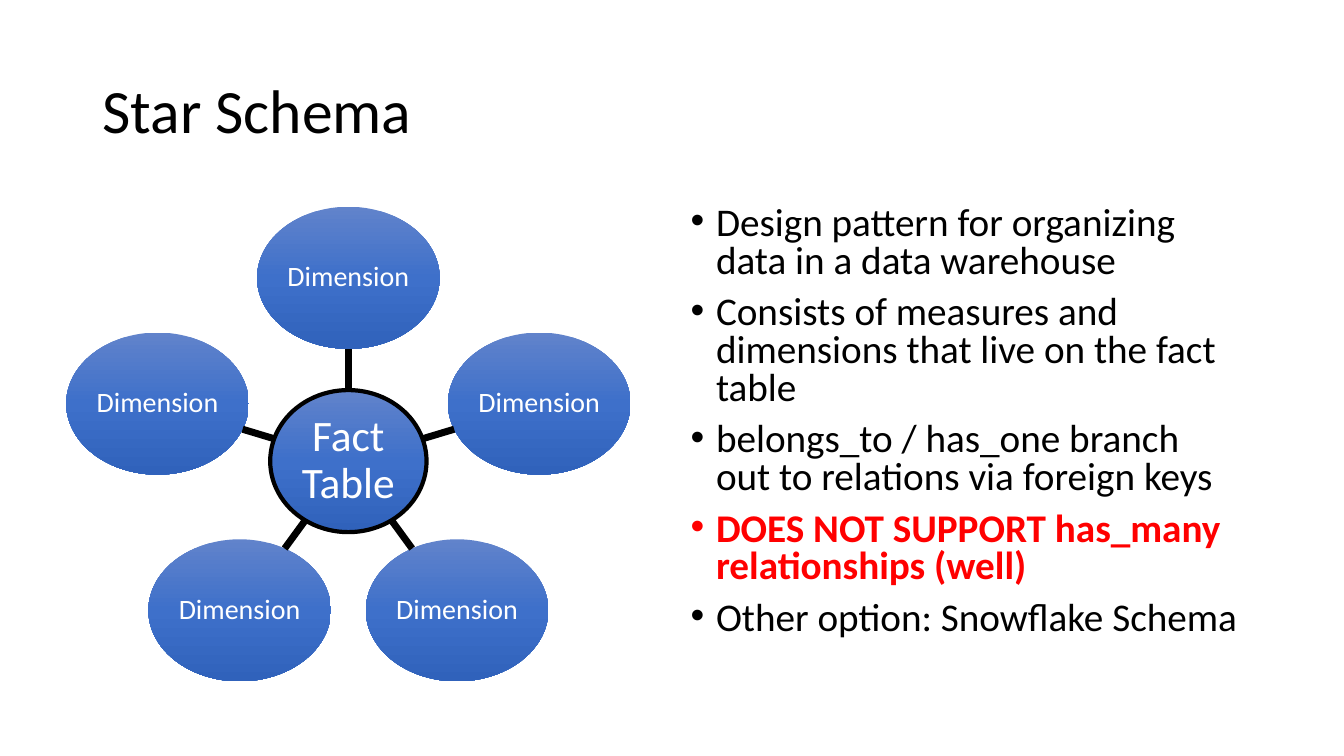
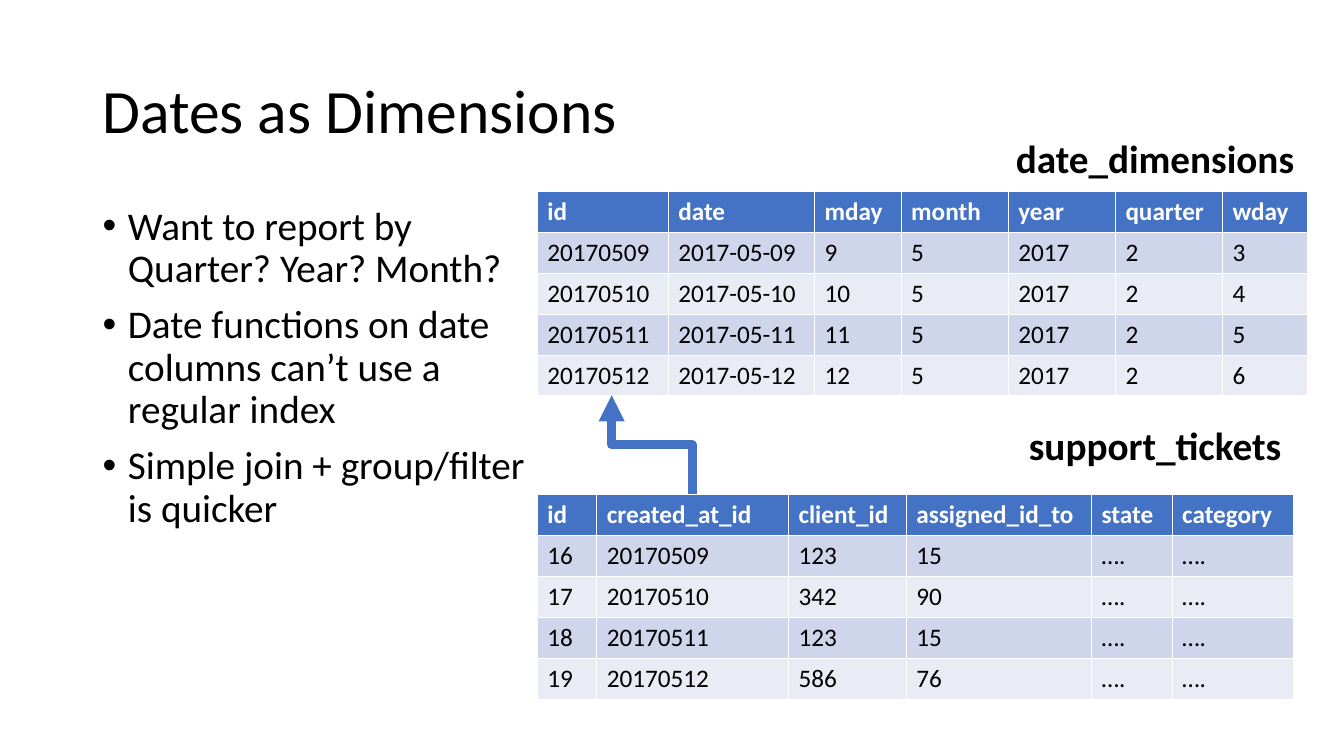
from copy import deepcopy
from math import hypot

from pptx import Presentation
from pptx.dml.color import RGBColor
from pptx.enum.shapes import MSO_CONNECTOR, MSO_SHAPE
from pptx.enum.text import MSO_ANCHOR, MSO_AUTO_SIZE, PP_ALIGN
from pptx.oxml import parse_xml
from pptx.oxml.ns import nsdecls, qn
from pptx.util import Cm, Pt

STRAIGHT, ELBOW = MSO_CONNECTOR.STRAIGHT, MSO_CONNECTOR.ELBOW
OVAL = MSO_SHAPE.OVAL
MIDDLE, TOP = MSO_ANCHOR.MIDDLE, MSO_ANCHOR.TOP
LEFT, CENTER = PP_ALIGN.LEFT, PP_ALIGN.CENTER
NO_FIT, FIT_SHAPE = MSO_AUTO_SIZE.NONE, MSO_AUTO_SIZE.SHAPE_TO_FIT_TEXT

FONT = "Calibri"
BLACK, WHITE, RED, BLUE = "000000", "FFFFFF", "FF0000", "4472C4"
BANDS = ["E9EBF5", "CFD5EA"]
GRADIENT = [(0, "6183CB"), (0.5, "3E70CA"), (1, "3062BB")]


def color(value):
    return RGBColor.from_string(value)


def write(frame, text, size=28, ink=BLACK, bold=False, align=LEFT, line=1.0, before=0):
    """Add one formatted paragraph to a text frame and return it."""
    para = frame.add_paragraph() if frame.text else frame.paragraphs[0]
    para.alignment, para.line_spacing, para.space_before = align, line, Pt(before)
    span = para.add_run()
    span.text = text
    span.font.name, span.font.size, span.font.bold = FONT, Pt(size), bold
    span.font.color.rgb = color(ink)
    return para


deck = Presentation()
deck.slide_width, deck.slide_height = Cm(33.87), Cm(19.05)

# Titles and bullet lists: title, list left, list width, line spacing, bullets
outline = [
    ("Star Schema", 17.15, 14.4, 0.8, [
        "Design pattern for organizing data in a data warehouse",
        "Consists of measures and dimensions that live on the fact table",
        "belongs_to / has_one branch out to relations via foreign keys",
        "DOES NOT SUPPORT has_many relationships (well)",
        "Other option: Snowflake Schema",
    ]),
    ("Dates as Dimensions", 2.33, 11.33, 0.9, [
        "Want to report by Quarter? Year? Month?",
        "Date functions on date columns can’t use a regular index",
        "Simple join + group/filter is quicker",
    ]),
]
for heading, left, width, spacing, bullets in outline:
    slide = deck.slides.add_slide(deck.slide_layouts[1])
    title, body = slide.shapes.title, slide.placeholders[1]
    title.left, title.top, title.width, title.height = Cm(2.33), Cm(1.01), Cm(29.21), Cm(3.68)
    body.left, body.top, body.width, body.height = Cm(left), Cm(5.07), Cm(width), Cm(12.09)
    for box, anchor in [(title, MIDDLE), (body, TOP)]:
        box.text_frame.vertical_anchor = anchor
        box.text_frame.auto_size = NO_FIT
    write(title.text_frame, heading, size=44, line=0.9)
    for bullet in bullets:
        warning = bullet.startswith("DOES NOT")
        para = write(body.text_frame, bullet, ink=RED if warning else BLACK,
                     bold=warning, line=spacing, before=10)
        properties = para._p.get_or_add_pPr()
        properties.set("marL", str(Cm(0.64)))
        properties.set("indent", str(-Cm(0.64)))

star_slide, dates_slide = deck.slides

# Star diagram: text, size, offset from the hub, horizontal radius
hub_x, hub_y, hub_radius, radius_y = 8.78, 11.62, 1.97, 1.79
nodes = [("Fact Table", 31, 0, 0, hub_radius)] + [
    ("Dimension", 20, across, down, 2.3)
    for across, down in [(0, -4.62), (4.81, -1.45), (2.74, 3.76), (-2.74, 3.76), (-4.81, -1.45)]
]
for text, size, across, down, radius_x in nodes:
    x, y = hub_x + across, hub_y + down
    oval = star_slide.shapes.add_shape(
        OVAL, Cm(x - radius_x), Cm(y - radius_y), Cm(2 * radius_x), Cm(2 * radius_y))
    oval.shadow.inherit = False
    oval.fill.gradient()
    oval.fill.gradient_angle = 270
    stop_list = oval._element.spPr.find(qn("a:gradFill")).find(qn("a:gsLst"))
    stop_list.insert(1, deepcopy(stop_list[0]))
    for stop, (position, tone) in zip(oval.fill.gradient_stops, GRADIENT):
        stop.position, stop.color.rgb = position, color(tone)
    frame = oval.text_frame
    frame.word_wrap, frame.vertical_anchor = True, MIDDLE
    frame.margin_left = frame.margin_right = frame.margin_top = frame.margin_bottom = Cm(0.03)
    write(frame, text, size=size, ink=WHITE, align=CENTER, line=0.9)
    if (across, down) == (0, 0):
        oval.line.color.rgb, oval.line.width = color(BLACK), Pt(3)
        continue
    oval.line.fill.background()
    # The spoke runs from the rim of the hub to the rim of the dimension
    start = 1 / hypot(across / hub_radius, down / radius_y)
    end = 1 - 1 / hypot(across / radius_x, down / radius_y)
    spoke = star_slide.shapes.add_connector(
        STRAIGHT, Cm(hub_x + across * start), Cm(hub_y + down * start),
        Cm(hub_x + across * end), Cm(hub_y + down * end))
    spoke.line.color.rgb, spoke.line.width = color(BLACK), Pt(5)
    spoke._element.spPr.append(parse_xml(f"<a:effectLst {nsdecls('a')}/>"))

# Tables with their names: name, name left, name top, name width, table top, columns, rows
row_height = 1.03
tables = [
    ("date_dimensions", 25.35, 3.25, 7.6, 4.83, [3.3, 3.69, 2.18, 2.7, 2.7, 2.7, 2.13], [
        "id date mday month year quarter wday",
        "20170509 2017-05-09 9 5 2017 2 3",
        "20170510 2017-05-10 10 5 2017 2 4",
        "20170511 2017-05-11 11 5 2017 2 5",
        "20170512 2017-05-12 12 5 2017 2 6",
    ]),
    ("support_tickets", 25.68, 10.49, 6.96, 12.47, [1.5, 4.83, 2.97, 4.67, 2.03, 3.05], [
        "id created_at_id client_id assigned_id_to state category",
        "16 20170509 123 15 …. ….",
        "17 20170510 342 90 …. ….",
        "18 20170511 123 15 …. ….",
        "19 20170512 586 76 …. ….",
    ]),
]
for name, left, top, width, table_top, columns, rows in tables:
    grid = dates_slide.shapes.add_table(
        len(rows), len(columns), Cm(13.54), Cm(table_top),
        Cm(sum(columns)), Cm(row_height * len(rows))).table
    for column, column_width in zip(grid.columns, columns):
        column.width = Cm(column_width)
    for index, row in enumerate(rows):
        header = index == 0
        for cell, value in zip(grid.rows[index].cells, row.split()):
            cell.fill.solid()
            cell.fill.fore_color.rgb = color(BLUE if header else BANDS[index % 2])
            write(cell.text_frame, value, size=18, ink=WHITE if header else BLACK, bold=header)
    label = dates_slide.shapes.add_textbox(Cm(left), Cm(top), Cm(width), Cm(1.45))
    label.text_frame.word_wrap = False
    label.text_frame.auto_size = FIT_SHAPE
    write(label.text_frame, name, bold=True)

# Arrow from created_at_id up to the date id, turned so that it leaves vertically
middle_x, middle_y, rise, shift = 16.43, 11.21, 2.5, 2.03
arrow = dates_slide.shapes.add_connector(
    ELBOW, Cm(middle_x - rise / 2), Cm(middle_y + shift / 2),
    Cm(middle_x + rise / 2), Cm(middle_y - shift / 2))
arrow.line.color.rgb, arrow.line.width = color(BLUE), Pt(6.25)
arrow.line._get_or_add_ln().append(parse_xml(f'<a:tailEnd {nsdecls("a")} type="triangle"/>'))
arrow_properties = arrow._element.spPr
arrow_properties.find(qn("a:xfrm")).set("rot", str(270 * 60000))
arrow_properties.append(parse_xml(f"<a:effectLst {nsdecls('a')}/>"))

deck.save("out.pptx")
